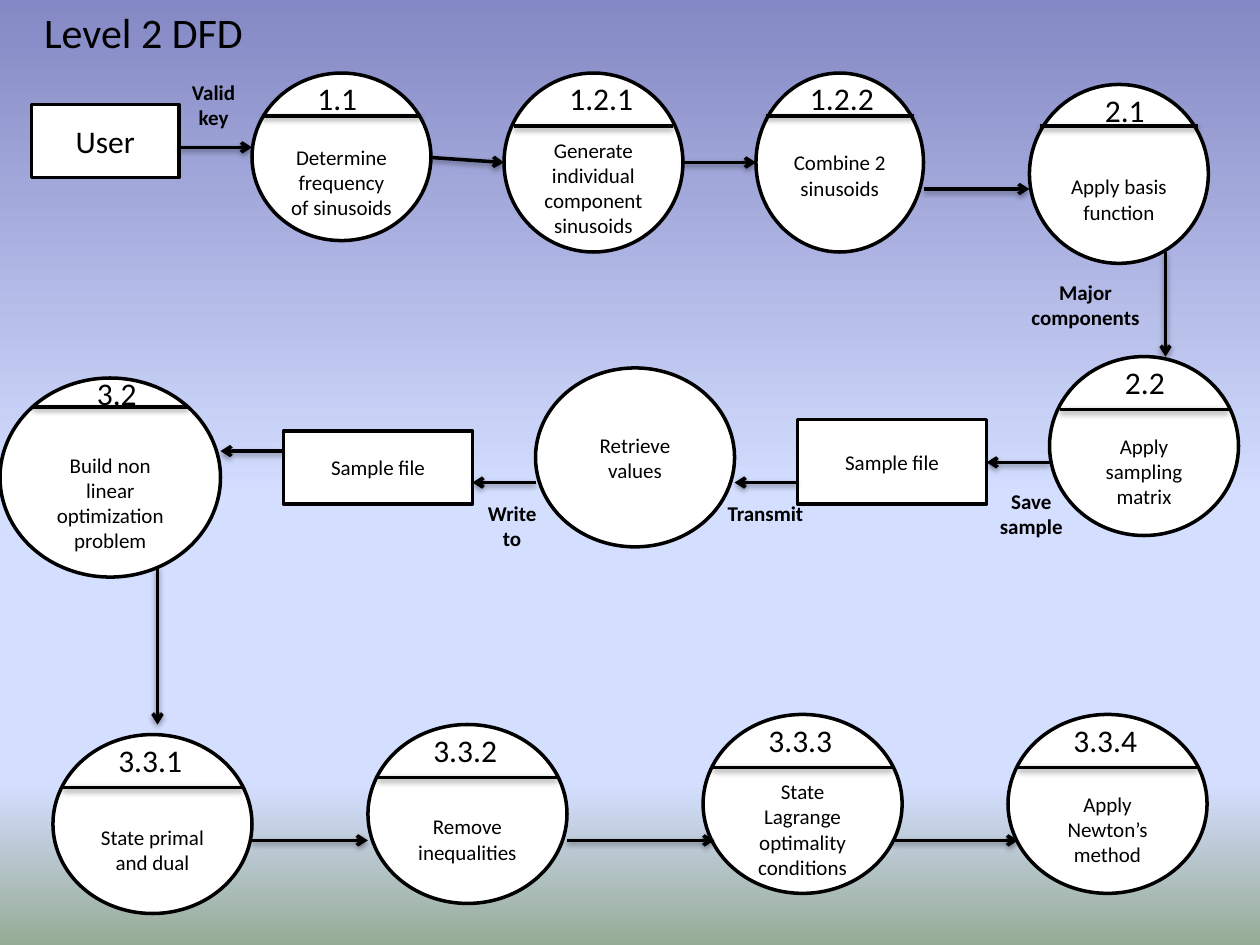
from dataclasses import dataclass

from lxml.etree import SubElement as Sub
from pptx import Presentation
from pptx.dml.color import RGBColor as RGB
from pptx.enum.shapes import MSO_CONNECTOR as Link, MSO_SHAPE as Kind
from pptx.enum.text import MSO_ANCHOR as Anchor, MSO_AUTO_SIZE as Fit, PP_ALIGN as Align
from pptx.oxml.ns import qn
from pptx.util import Inches, Pt


@dataclass(frozen=True)
class Theme:
    font: str = "Calibri"
    ink: RGB = RGB(0, 0, 0)
    paper: RGB = RGB(255, 255, 255)
    sky: tuple = ((0, "8488C4"), (53, "D4DEFF"), (83, "D4DEFF"), (100, "96AB94"))
    title: Pt = Pt(24)
    head: Pt = Pt(18)
    body: Pt = Pt(12)
    line: Pt = Pt(2)


LOOK = Theme()
ROW = 0.2  # height of one line of body text

# box, number, task, lines the task is lowered by, options of cap()
STEPS = [
    ((2, 0.58, 1.42, 1.33), "1.1", "Determine frequency of sinusoids", 2, {"drop": 0.34}),
    ((4, 0.58, 1.42, 1.42), "1.2.1", "Generate individual component sinusoids", 2, {}),
    ((6, 0.58, 1.33, 1.42), "1.2.2", "Combine 2 sinusoids", 1, {"drop": 0.34, "dx": 0.33}),
    ((8.17, 0.67, 1.42, 1.42), "2.1", "Apply basis function", 2, {"drop": 0.33, "dx": 0.5}),
    ((8.33, 2.83, 1.5, 1.42), "2.2", "Apply sampling matrix", 2, {"dx": 0.5}),
    ((4.25, 2.92, 1.58, 1.42), "", "Retrieve values", 0, {}),
    ((0, 3, 1.75, 1.58), "3.2", "Build non linear optimization problem", 2,
     {"drop": 0.23, "inset": 0.26, "dx": 0.67, "dy": -0.08}),
    ((0.42, 5.83, 1.58, 1.42), "3.3.1", "State primal and dual", 2, {}),
    ((2.92, 5.75, 1.58, 1.42), "3.3.2", "Remove inequalities", 2, {}),
    ((5.58, 5.67, 1.58, 1.42), "3.3.3", "State Lagrange optimality conditions", 2, {}),
    ((8, 5.67, 1.58, 1.42), "3.3.4", "Apply Newton’s method", 2, {}),
]
STORES = [
    ((0.25, 0.83, 1.17, 0.58), "User", LOOK.head),
    ((6.33, 3.33, 1.5, 0.67), "Sample file", LOOK.body),
    ((2.25, 3.42, 1.5, 0.58), "Sample file", LOOK.body),
]
LABELS = [
    ((1.42, 0.58, 0.55, 0.5), "Valid\nkey"),
    ((8.08, 2.17, 1.07, 0.5), "Major\ncomponents"),
    ((7.83, 3.83, 0.71, 0.5), "Save\nsample"),
    ((5.67, 3.92, 0.81, 0.3), "Transmit"),
    ((3.75, 3.92, 0.63, 0.5), "Write\nto"),
]
FLOWS = [
    (1.42, 1.17, 2, 1.17), (3.42, 1.25, 4, 1.29), (5.42, 1.29, 6, 1.29),
    (7.33, 1.5, 8.17, 1.5), (9.25, 2, 9.25, 2.83), (8.33, 3.67, 7.83, 3.67),
    (6.33, 3.83, 5.83, 3.83), (4.25, 3.83, 3.75, 3.83), (2.25, 3.58, 1.75, 3.58),
    (1.25, 4.5, 1.25, 5.75), (2, 6.67, 2.92, 6.67), (4.5, 6.67, 5.67, 6.67),
    (7.08, 6.67, 8.08, 6.67),
]


def inch(box):
    return [Inches(n) for n in box]


def write(frame, text, size, align=Align.CENTER, bold=False):
    frame.text = text
    for para in frame.paragraphs:
        para.alignment = align
        font = para.font
        font.name, font.size, font.bold = LOOK.font, size, bold
        font.color.rgb = LOOK.ink


def paint(slide):
    """Fill the background with the sky gradient, top to bottom."""
    fill = slide.background.fill
    fill.gradient()
    fill.gradient_angle = 270
    stops = next(slide.element.iter(qn("a:gsLst")))
    for stop in list(stops):
        stops.remove(stop)
    for pos, hue in LOOK.sky:
        stop = Sub(stops, qn("a:gs"), pos=str(pos * 1000))
        Sub(stop, qn("a:srgbClr"), val=hue)


def head(slide, box, text):
    title = slide.shapes.title
    title.left, title.top, title.width, title.height = inch(box)
    frame = title.text_frame
    frame.vertical_anchor = Anchor.TOP
    write(frame, text, LOOK.title, Align.LEFT)


def node(slide, kind, box, text, size, low=0):
    """Draw an outlined shape, its text centred below a number of free lines."""
    shape = slide.shapes.add_shape(kind, *inch(box))
    shape.shadow.inherit = False
    shape.fill.solid()
    shape.fill.fore_color.rgb = LOOK.paper
    shape.line.color.rgb = LOOK.ink
    shape.line.width = LOOK.line
    frame = shape.text_frame
    frame.word_wrap = True
    frame.vertical_anchor = Anchor.MIDDLE
    frame.margin_top = Inches(0.05 + low * ROW)
    write(frame, text, size)


def label(slide, box, text, size=LOOK.body, align=Align.CENTER, bold=True):
    frame = slide.shapes.add_textbox(*inch(box)).text_frame
    frame.word_wrap = False
    frame.auto_size = Fit.SHAPE_TO_FIT_TEXT
    write(frame, text, size, align, bold)


def rule(slide, ends, arrow=False):
    """Draw a softly shadowed line, with an arrowhead at its end if asked."""
    link = slide.shapes.add_connector(Link.STRAIGHT, *inch(ends))
    link.line.color.rgb = LOOK.ink
    link.line.width = LOOK.line
    props = link.element.spPr
    if arrow:
        Sub(props.find(qn("a:ln")), qn("a:tailEnd"), type="arrow")
    glow = Sub(Sub(props, qn("a:effectLst")), qn("a:outerShdw"), blurRad="40000",
               dist="20000", dir="5400000", rotWithShape="0")
    Sub(Sub(glow, qn("a:srgbClr"), val=str(LOOK.ink)), qn("a:alpha"), val="38000")


def cap(slide, box, num, drop=0.42, inset=0.08, dx=0.42, dy=0):
    """Put the number and the line below it in the top of a step."""
    x, y, wide, _ = box
    rule(slide, (x + inset, y + drop, x + wide - inset, y + drop))
    span = 0.52 if len(num) == 3 else 0.71
    label(slide, (x + dx, y + dy, span, 0.4), num, LOOK.head, Align.LEFT, False)


def step(slide, box, num, task, low, opts):
    node(slide, Kind.OVAL, box, task, LOOK.body, low)
    if num:
        cap(slide, box, num, **opts)


def main():
    deck = Presentation()
    deck.slide_width, deck.slide_height = Inches(10), Inches(7.5)
    slide = deck.slides.add_slide(deck.slide_layouts[5])
    paint(slide)
    head(slide, (0.25, 0, 3.42, 0.81), "Level 2 DFD")
    for item in STEPS:
        step(slide, *item)
    for box, text, size in STORES:
        node(slide, Kind.RECTANGLE, box, text, size)
    for box, text in LABELS:
        label(slide, box, text)
    for ends in FLOWS:
        rule(slide, ends, arrow=True)
    deck.save("out.pptx")


if __name__ == "__main__":
    main()
